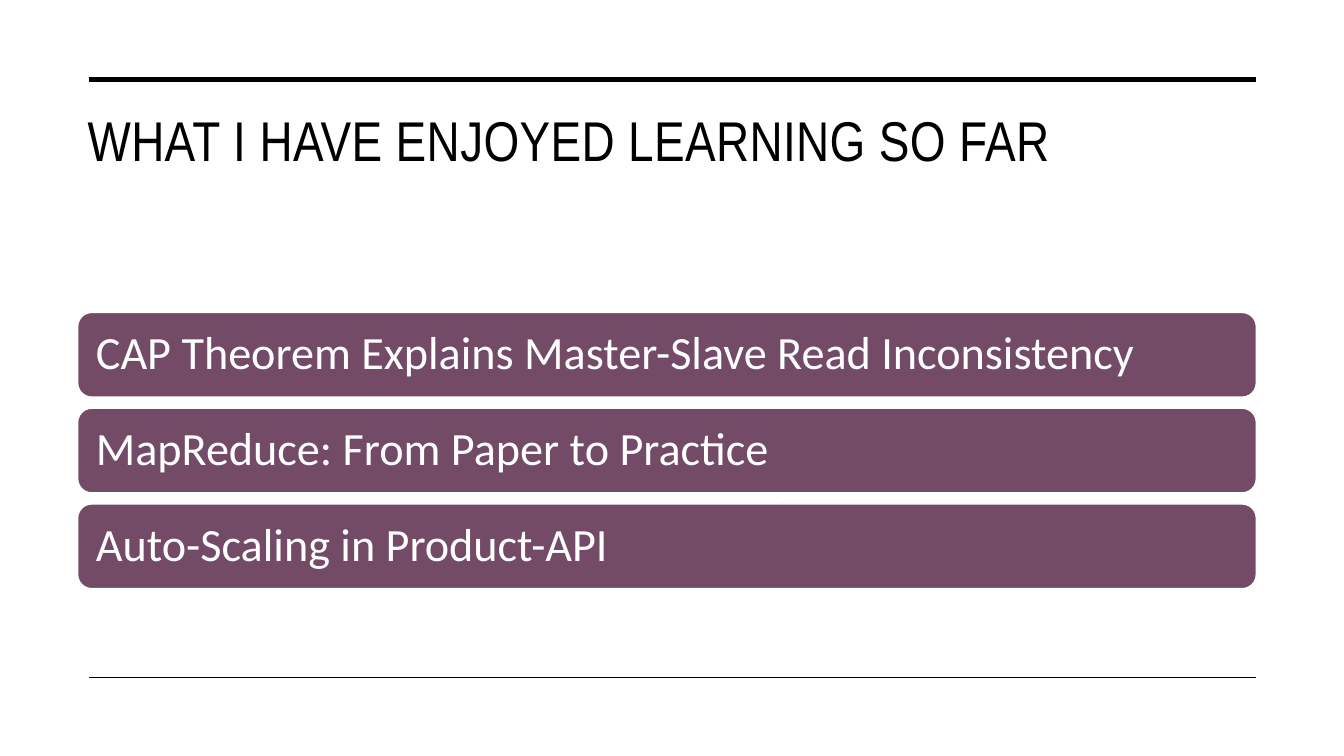
from dataclasses import dataclass

from lxml.etree import SubElement
from pptx import Presentation
from pptx.dml.color import RGBColor
from pptx.enum.shapes import MSO_CONNECTOR, MSO_SHAPE
from pptx.enum.text import MSO_ANCHOR, PP_ALIGN
from pptx.oxml.ns import qn
from pptx.slide import Slide
from pptx.text.text import TextFrame
from pptx.util import Inches, Pt

BLACK = RGBColor(0x00, 0x00, 0x00)
WHITE = RGBColor(0xFF, 0xFF, 0xFF)
PLUM = RGBColor(0x73, 0x4B, 0x67)

# Grid, in inches
SLIDE_WIDTH, SLIDE_HEIGHT = 13.33, 7.5
COLUMN_LEFT, COLUMN_WIDTH = 0.77, 11.69
RULE_LEFT, RULE_RIGHT = 0.88, 12.46
FIRST_ROW, ROW_PITCH, ROW_HEIGHT = 3.1, 0.95, 0.84


@dataclass(frozen=True)
class Rule:
    y: float
    weight: float


@dataclass(frozen=True)
class Topic:
    row: int
    wording: str


RULES = [Rule(0.79, 3.5), Rule(6.72, 1)]
TOPICS = [
    Topic(row, wording)
    for row, wording in enumerate([
        "CAP Theorem Explains Master-Slave Read Inconsistency",
        "MapReduce: From Paper to Practice",
        "Auto-Scaling in Product-API",
    ])
]


def write_text(frame: TextFrame, wording: str, *, font: str, size: float,
               color: RGBColor, anchor: MSO_ANCHOR, inset_x: float,
               inset_y: float, line_spacing: float = 1.0,
               tracking: float = 0) -> None:
    frame.word_wrap = True
    frame.vertical_anchor = anchor
    frame.margin_left = frame.margin_right = Inches(inset_x)
    frame.margin_top = frame.margin_bottom = Inches(inset_y)
    paragraph = frame.paragraphs[0]
    paragraph.alignment = PP_ALIGN.LEFT
    paragraph.line_spacing = line_spacing
    run = paragraph.add_run()
    run.text = wording
    run.font.name = font
    run.font.size = Pt(size)
    run.font.color.rgb = color
    if tracking:
        run._r.get_or_add_rPr().set("spc", str(round(tracking * 100)))


def draw_rule(slide: Slide, rule: Rule) -> None:
    line = slide.shapes.add_connector(
        MSO_CONNECTOR.STRAIGHT, Inches(RULE_LEFT), Inches(rule.y),
        Inches(RULE_RIGHT), Inches(rule.y))
    line.line.color.rgb = BLACK
    line.line.width = Pt(rule.weight)
    SubElement(line._element.spPr, qn("a:effectLst"))


def draw_topic(slide: Slide, topic: Topic) -> None:
    bar = slide.shapes.add_shape(
        MSO_SHAPE.ROUNDED_RECTANGLE, Inches(COLUMN_LEFT),
        Inches(FIRST_ROW + topic.row * ROW_PITCH),
        Inches(COLUMN_WIDTH), Inches(ROW_HEIGHT))
    bar.shadow.inherit = False
    bar.fill.solid()
    bar.fill.fore_color.rgb = PLUM
    bar.line.color.rgb = WHITE
    bar.line.width = Pt(1)
    write_text(bar.text_frame, topic.wording, font="Calibri", size=33,
               color=WHITE, anchor=MSO_ANCHOR.MIDDLE, inset_x=0.14,
               inset_y=0.14, line_spacing=0.9)


def main() -> None:
    presentation = Presentation()
    presentation.slide_width = Inches(SLIDE_WIDTH)
    presentation.slide_height = Inches(SLIDE_HEIGHT)
    slide = presentation.slides.add_slide(presentation.slide_layouts[6])

    # Rules above and below the content
    for rule in RULES:
        draw_rule(slide, rule)

    # Heading
    heading = slide.shapes.add_textbox(
        Inches(COLUMN_LEFT), Inches(1), Inches(COLUMN_WIDTH), Inches(1.43))
    write_text(heading.text_frame, "WHAT I HAVE ENJOYED LEARNING SO FAR",
               font="Arial Narrow", size=40, color=BLACK,
               anchor=MSO_ANCHOR.TOP, inset_x=0.1, inset_y=0.05,
               tracking=0.3)

    # Topic bars
    for topic in TOPICS:
        draw_topic(slide, topic)

    presentation.save("out.pptx")


if __name__ == "__main__":
    main()
